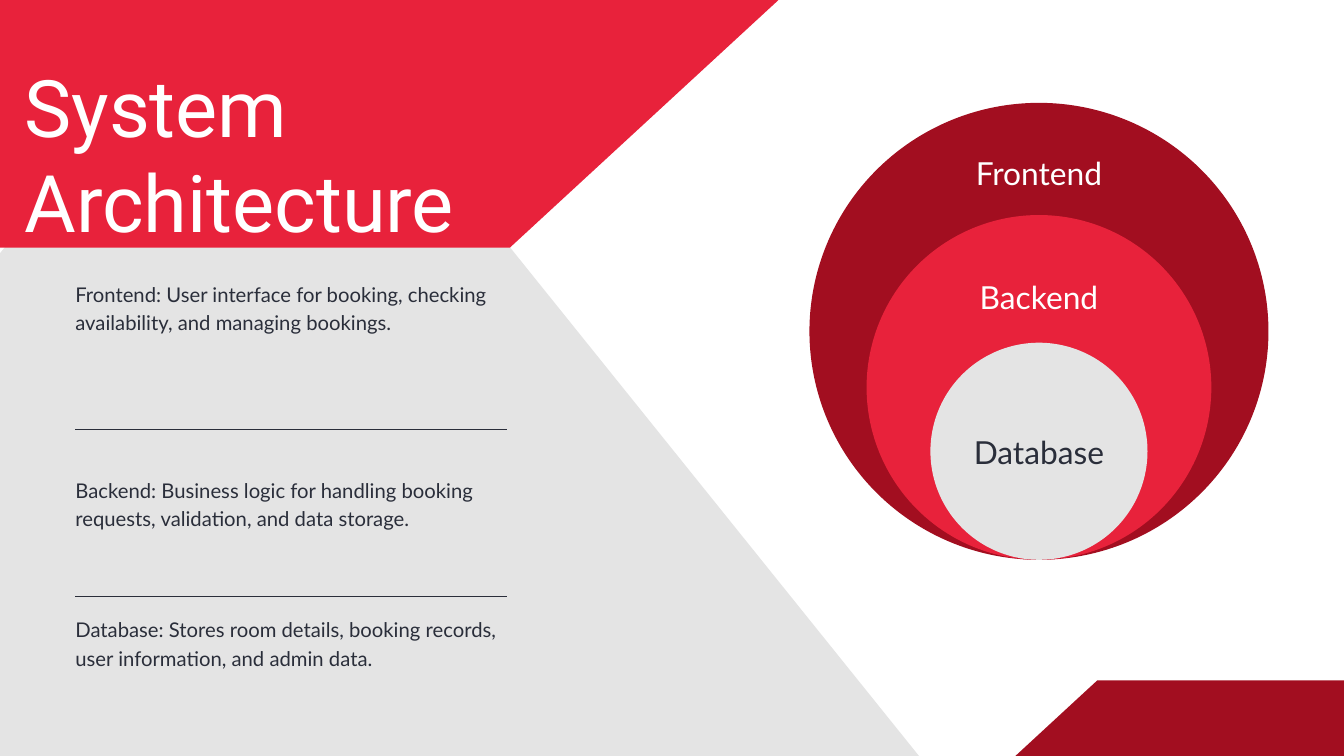
from lxml import etree
from pptx import Presentation
from pptx.dml.color import RGBColor
from pptx.enum.shapes import MSO_CONNECTOR, MSO_SHAPE
from pptx.enum.text import MSO_ANCHOR, MSO_AUTO_SIZE, PP_ALIGN
from pptx.oxml.ns import qn
from pptx.util import Pt

LEFT, CENTER = PP_ALIGN.LEFT, PP_ALIGN.CENTER
TOP, NO_FIT = MSO_ANCHOR.TOP, MSO_AUTO_SIZE.NONE
OVAL, STRAIGHT = MSO_SHAPE.OVAL, MSO_CONNECTOR.STRAIGHT
RED, DARK_RED, GREY, INK, WHITE = "E8223B", "A20E20", "E4E4E4", "2A2E3A", "FFFFFF"


def paint(sp, color):
    sp.fill.solid()
    sp.fill.fore_color.rgb = RGBColor.from_string(color)
    sp.line.fill.background()
    sp.shadow.inherit = False


def write(sp, text, font, size, color, leading, align=LEFT):
    tf = sp.text_frame
    tf.text = text
    tf.word_wrap = True
    tf.auto_size = NO_FIT
    tf.vertical_anchor = TOP
    tf.margin_left = tf.margin_right = tf.margin_top = tf.margin_bottom = 0
    p = tf.paragraphs[0]
    p.alignment = align
    p.line_spacing = Pt(leading)
    p.space_before = Pt(0)
    r = p.runs[0]
    r.font.name = font
    r.font.size = Pt(size)
    r.font.color.rgb = RGBColor.from_string(color)


prs = Presentation()
prs.slide_width, prs.slide_height = Pt(1440), Pt(810)
s = prs.slides.add_slide(prs.slide_layouts[5])

trapezoids = [
    (GREY, [(203.8, 18), (347.8, 18), (986.4, 812.2), (-434.9, 812.2)]),
    (RED, [(-327.4, 0), (834.1, 0), (546.2, 265.4), (-39.4, 265.4)]),
    (DARK_RED, [(1175.7, 729), (1453.7, 729), (1541.5, 810), (1087.9, 810)]),
]
for color, points in trapezoids:
    corners = [(Pt(x), Pt(y)) for x, y in points]
    builder = s.shapes.build_freeform(*corners[0])
    builder.add_line_segments(corners[1:], close=True)
    paint(builder.convert_to_shape(), color)

title = s.shapes.title
title.left, title.top, title.width, title.height = Pt(26.2), Pt(62.6), Pt(694), Pt(202.3)
write(title, "System Architecture", "Roboto", 85, WHITE, 102)
s.shapes[-1]._element.addnext(title._element)

center_x, circle_bottom = 1113.2, 599.8
layers = [
    ("Frontend", DARK_RED, WHITE, 491.8, 489.6, 158.4),
    ("Backend", RED, WHITE, 369.4, 369.4, 291),
    ("Database", GREY, INK, 232.6, 232.6, 457.2),
]
for name, fill, ink, width, height, label_top in layers:
    circle = s.shapes.add_shape(OVAL, Pt(center_x - width / 2), Pt(circle_bottom - height),
                                Pt(width), Pt(height))
    paint(circle, fill)
for name, fill, ink, width, height, label_top in layers:
    label = s.shapes.add_textbox(Pt(center_x - 93.2), Pt(label_top), Pt(186.4), Pt(45))
    write(label, name, "Lato", 34, ink, 47.6, CENTER)

text_left = 80.8
descriptions = [
    (298, "Frontend: User interface for booking, checking availability, and managing bookings."),
    (507.8, "Backend: Business logic for handling booking requests, validation, and data storage."),
    (657.2, "Database: Stores room details, booking records, user information, and admin data."),
]
for top, text in descriptions:
    box = s.shapes.add_textbox(Pt(text_left), Pt(top), Pt(475.2), Pt(60.8))
    write(box, text, "Lato", 21.7, INK, 30.4)

for y in (460, 639.5):
    rule = s.shapes.add_connector(STRAIGHT, Pt(text_left), Pt(y), Pt(542.8), Pt(y))
    rule.line.color.rgb = RGBColor.from_string(INK)
    rule.line.width = Pt(0.9)
    etree.SubElement(rule._element.spPr, qn("a:effectLst"))

prs.save("out.pptx")
